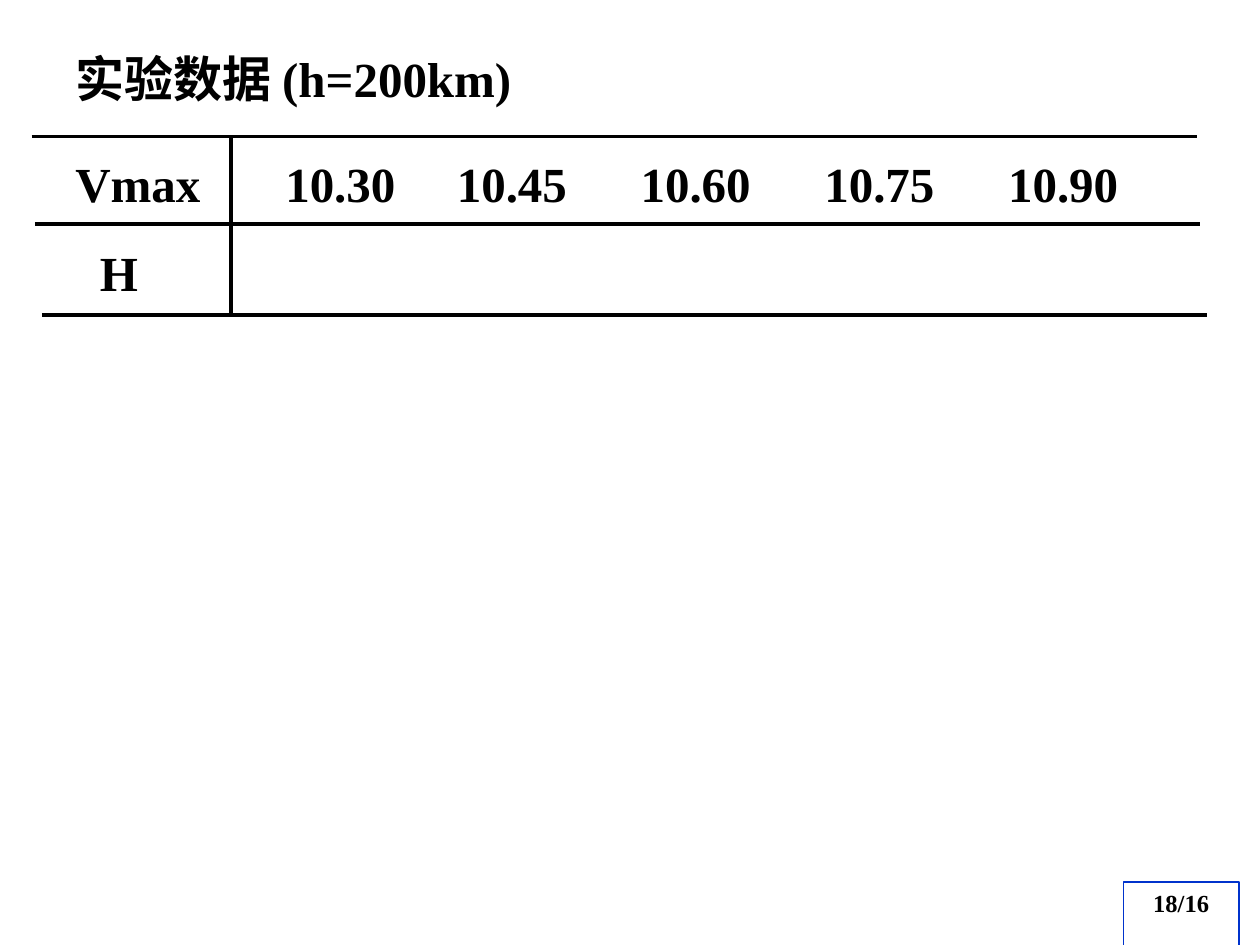
from lxml import etree
from pptx import Presentation
from pptx.dml.color import RGBColor
from pptx.enum.shapes import MSO_CONNECTOR, MSO_SHAPE
from pptx.enum.text import MSO_ANCHOR, PP_ALIGN
from pptx.oxml.ns import qn
from pptx.util import Pt

STRAIGHT = MSO_CONNECTOR.STRAIGHT
RECTANGLE = MSO_SHAPE.RECTANGLE
TOP = MSO_ANCHOR.TOP
LEFT, CENTER = PP_ALIGN.LEFT, PP_ALIGN.CENTER
BLACK = RGBColor(0x00, 0x00, 0x00)
BLUE = RGBColor(0x00, 0x33, 0xCC)
FONT = "Times New Roman"

TITLE = "实验数据 (h=200km)"
SPEEDS = ["10.30", "10.45", "10.60", "10.75", "10.90"]
ROWS = [["Vmax"] + SPEEDS, ["H"]]
ROW_INDENTS = [0, 14]
PAGE_NUMBER = "18/16"

FIRST_TAB, SECOND_TAB, TAB_STEP = 120, 218, 105
TABS = [FIRST_TAB] + [SECOND_TAB + TAB_STEP * i for i in range(len(SPEEDS) - 1)]
RULE_WIDTH = 666
RULE_STARTS = [(18, 78), (20, 128), (24, 180)]
DIVIDER_X = 132

presentation = Presentation()
presentation.slide_width, presentation.slide_height = Pt(720), Pt(540)
slide = presentation.slides.add_slide(presentation.slide_layouts[6])


def write_text(shape, text, size=28, align=LEFT, space_before=17.5, indents=(0,), tabs=()):
    frame = shape.text_frame
    frame.word_wrap = True
    frame.vertical_anchor = TOP
    frame.text = text
    for paragraph, indent in zip(frame.paragraphs, indents):
        paragraph.alignment = align
        paragraph.space_before = Pt(space_before)
        paragraph.font.size = Pt(size)
        properties = paragraph._p.get_or_add_pPr()
        properties.set("marL", str(Pt(indent)))
        if tabs:
            tab_list = etree.Element(qn("a:tabLst"))
            for position in tabs:
                etree.SubElement(tab_list, qn("a:tab"), pos=str(Pt(position)), algn="l")
            properties.find(qn("a:defRPr")).addprevious(tab_list)
        for run in paragraph.runs:
            run.font.name = FONT
            run.font.size = Pt(size)
            run.font.bold = True
            run.font.color.rgb = BLACK


def add_text(text, left, top, width, height, **text_format):
    box = slide.shapes.add_textbox(Pt(left), Pt(top), Pt(width), Pt(height))
    write_text(box, text, **text_format)


def add_rule(x1, y1, x2, y2):
    rule = slide.shapes.add_connector(STRAIGHT, Pt(x1), Pt(y1), Pt(x2), Pt(y2))
    rule.line.color.rgb = BLACK
    rule.line.width = Pt(2.25)
    etree.SubElement(rule._element.spPr, qn("a:effectLst"))


page_box = slide.shapes.add_shape(RECTANGLE, Pt(642), Pt(504), Pt(66), Pt(41))
page_box.shadow.inherit = False
page_box.fill.background()
page_box.line.color.rgb = BLUE
page_box.line.width = Pt(0.75)
write_text(page_box, PAGE_NUMBER, size=14, align=CENTER, space_before=8.8)

add_text(TITLE, 36, 24, 486, 41)
add_text("\n".join("\t".join(row) for row in ROWS), 36, 84, 648, 92,
         indents=ROW_INDENTS, tabs=TABS)

for left, y in RULE_STARTS:
    add_rule(left, y, left + RULE_WIDTH, y)
add_rule(DIVIDER_X, RULE_STARTS[0][1], DIVIDER_X, RULE_STARTS[-1][1])

presentation.save("out.pptx")
